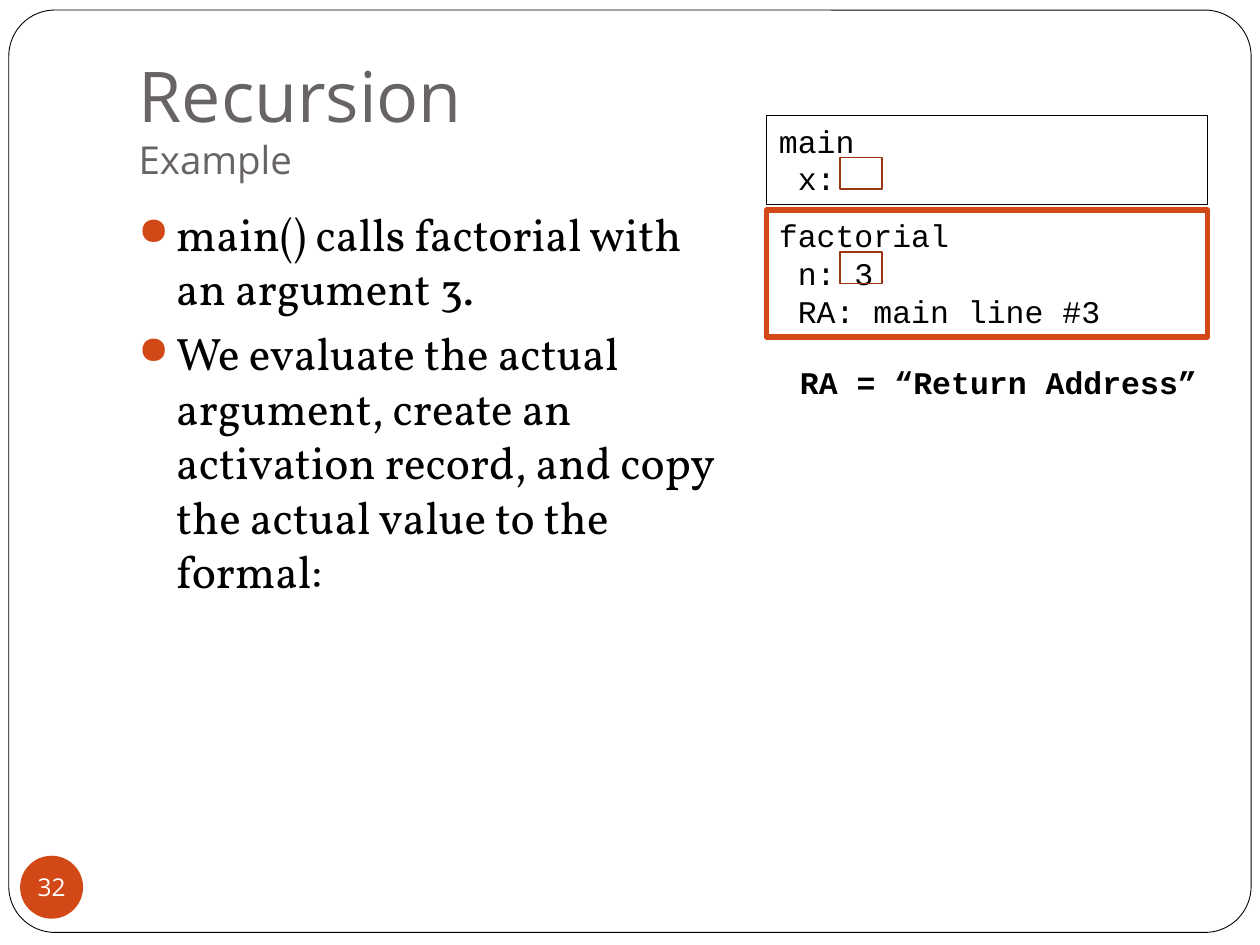
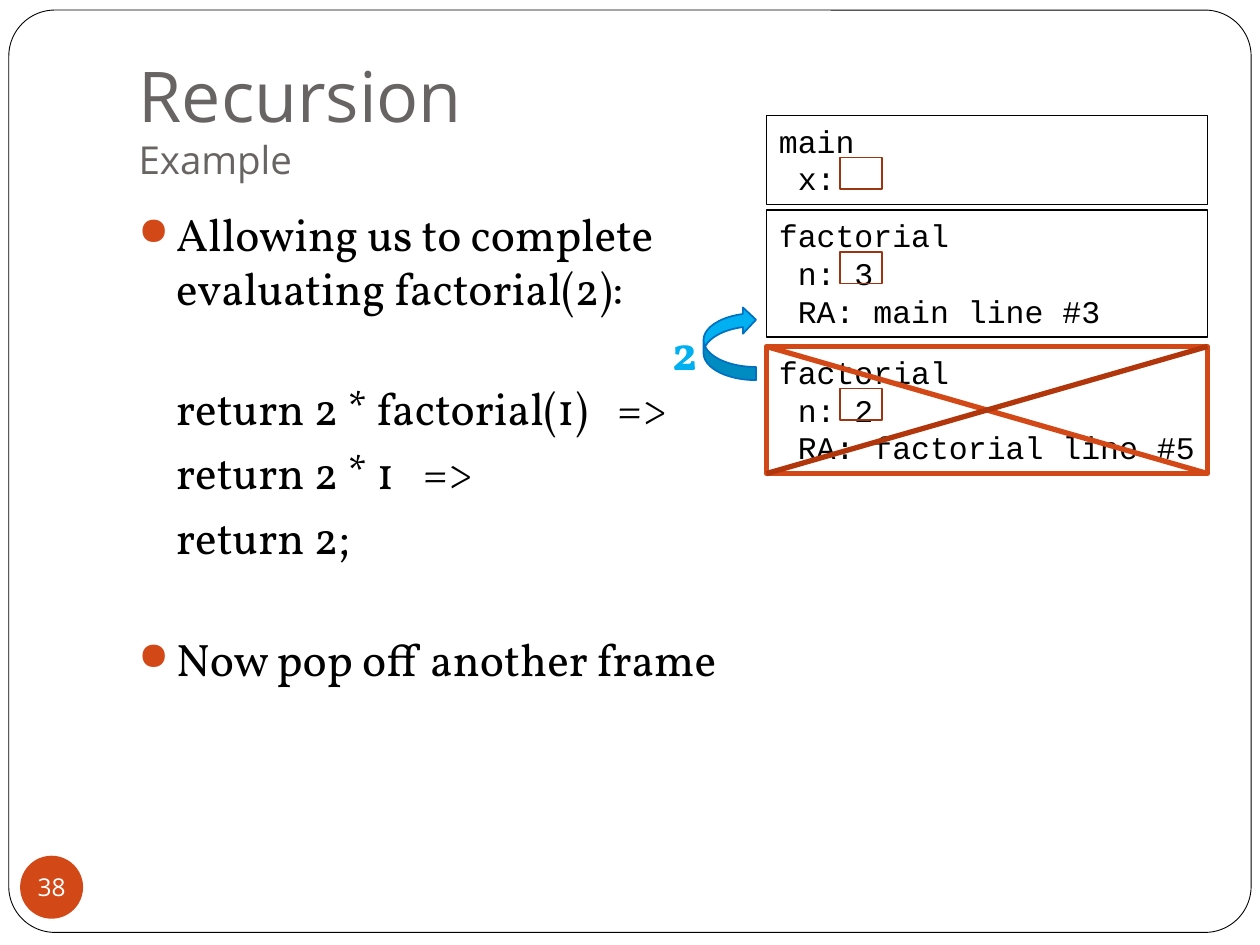
from dataclasses import dataclass
from typing import Any, Optional

from lxml.etree import SubElement
from pptx import Presentation
from pptx.dml.color import RGBColor
from pptx.enum.shapes import MSO_CONNECTOR, MSO_SHAPE
from pptx.enum.text import MSO_ANCHOR, MSO_AUTO_SIZE, PP_ALIGN
from pptx.oxml.ns import qn
from pptx.util import Inches, Pt

COLUMNS, ROWS = 120, 90  # grid over the whole slide


@dataclass(frozen=True)
class Theme:
    accent: str = "D34817"
    accent_dark: str = "9C3511"
    cross_dark: str = "B1360B"
    title_grey: str = "696464"
    black: str = "000000"
    white: str = "FFFFFF"
    value_blue: str = "00B0F0"
    arrow_edge: str = "0070C0"
    sans: str = "Open Sans"
    serif: str = "Vollkorn"
    mono: str = "Courier New"
    title_size: float = 40
    subtitle_size: float = 22
    body_size: float = 26
    value_size: float = 28
    code_size: float = 18
    number_size: float = 14
    hairline: float = 0.5
    thin: float = 0.75
    medium: float = 1
    thick: float = 3
    paragraph_gap: float = 5.8
    arrow_gap: float = 11  # extra tracking before "=>"


@dataclass(frozen=True)
class Area:
    """A rectangle in grid columns and rows."""
    column: float
    row: float
    width: float
    height: float


@dataclass(frozen=True)
class BodyLine:
    text: str
    bullet: bool = True
    gap: float = 5.8
    result_arrow: bool = False


@dataclass(frozen=True)
class Frame:
    """An activation record on the call stack."""
    row: float
    height: float
    lines: tuple[str, ...]
    active: bool = False
    popped: bool = False


THEME = Theme()
STACK_COLUMN, STACK_WIDTH = 73, 42
TITLE_AREA = Area(12, 3.6, 102, 15)
presentation = Presentation()
presentation.slide_width, presentation.slide_height = Inches(10), Inches(7.5)
column_unit = presentation.slide_width / COLUMNS
row_unit = presentation.slide_height / ROWS


# Helpers
def place(area: Area) -> tuple[int, int, int, int]:
    return (round(area.column * column_unit), round(area.row * row_unit),
            round(area.width * column_unit), round(area.height * row_unit))


def apply(target: Any, formats: dict[str, Any]) -> None:
    for name, value in formats.items():
        setattr(target, name, value)


def add_run(paragraph: Any, text: str, font: str, size: float, color: str,
            bold: bool = False) -> Any:
    run = paragraph.add_run()
    run.text = text
    apply(run.font, {"name": font, "size": Pt(size), "bold": bold})
    run.font.color.rgb = RGBColor.from_string(color)
    return run


def set_line(item: Any, color: str, width: float) -> None:
    item.line.color.rgb = RGBColor.from_string(color)
    item.line.width = Pt(width)


def add_shape(slide: Any, kind: MSO_SHAPE, area: Area, fill: Optional[str] = None,
              line: Optional[str] = None, width: float = 1) -> Any:
    shape = slide.shapes.add_shape(kind, *place(area))
    shape.shadow.inherit = False
    if fill:
        shape.fill.solid()
        shape.fill.fore_color.rgb = RGBColor.from_string(fill)
    else:
        shape.fill.background()
    if line:
        set_line(shape, line, width)
    else:
        shape.line.fill.background()
    return shape


def add_label(slide: Any, area: Area, text: str, font: str, size: float, color: str) -> None:
    frame = slide.shapes.add_textbox(*place(area)).text_frame
    apply(frame, {"word_wrap": False, "auto_size": MSO_AUTO_SIZE.SHAPE_TO_FIT_TEXT})
    add_run(frame.paragraphs[0], text, font, size, color, bold=True)


# Parts every slide shares
def start_slide(number: int) -> Any:
    slide = presentation.slides.add_slide(presentation.slide_layouts[5])
    border = add_shape(slide, MSO_SHAPE.ROUNDED_RECTANGLE, Area(0.84, 0.96, 118.32, 87.84),
                       THEME.white, THEME.black, THEME.hairline)
    border.adjustments[0] = 0.05
    border.element.getparent().insert(2, border.element)  # behind the title

    title = slide.shapes.title
    left, top, width, height = place(TITLE_AREA)
    apply(title, {"left": left, "top": top, "width": width, "height": height})
    apply(title.text_frame, {
        "vertical_anchor": MSO_ANCHOR.BOTTOM, "auto_size": MSO_AUTO_SIZE.NONE,
        "word_wrap": True, "margin_left": Inches(0.1), "margin_right": Inches(0.1),
        "margin_top": Inches(0.05), "margin_bottom": Inches(0.1)})
    paragraph = title.text_frame.paragraphs[0]
    paragraph.alignment = PP_ALIGN.LEFT
    add_run(paragraph, "Recursion", THEME.sans, THEME.title_size, THEME.title_grey)
    paragraph.add_line_break()
    add_run(paragraph, "Example", THEME.sans, THEME.subtitle_size, THEME.title_grey)

    badge = add_shape(slide, MSO_SHAPE.OVAL, Area(1.92, 81.5, 6, 6), THEME.accent)
    apply(badge.text_frame, {
        "vertical_anchor": MSO_ANCHOR.MIDDLE, "word_wrap": False, "margin_left": 0,
        "margin_right": 0, "margin_top": 0, "margin_bottom": 0})
    paragraph = badge.text_frame.paragraphs[0]
    paragraph.alignment = PP_ALIGN.CENTER
    add_run(paragraph, str(number), THEME.sans, THEME.number_size, THEME.white)
    return slide


def add_body(slide: Any, area: Area, lines: list[BodyLine]) -> None:
    frame = slide.shapes.add_textbox(*place(area)).text_frame
    frame.word_wrap = True
    for index, line in enumerate(lines):
        paragraph = frame.add_paragraph() if index else frame.paragraphs[0]
        paragraph.space_before = Pt(line.gap)
        style = (THEME.serif, THEME.body_size, THEME.black)
        add_run(paragraph, line.text, *style)
        if line.result_arrow:
            space = add_run(paragraph, " ", *style)
            space.font._element.set("spc", str(round(THEME.arrow_gap * 100)))
            add_run(paragraph, "=>", *style)
        properties = paragraph._p.get_or_add_pPr()
        properties.set("marL", str(Inches(0.3)))
        properties.set("indent", str(-Inches(0.3) if line.bullet else 0))
        if line.bullet:
            color = SubElement(properties, qn("a:buClr"))
            SubElement(color, qn("a:srgbClr"), val=THEME.accent)
            SubElement(properties, qn("a:buSzPct"), val="85000")
            SubElement(properties, qn("a:buChar"), char="●")


# Call stack
def add_cross(slide: Any, area: Area) -> None:
    left, top, width, height = place(area)
    right, bottom = left + width, top + height
    for start, end, color in ((left, right, THEME.accent), (right, left, THEME.cross_dark)):
        line = slide.shapes.add_connector(MSO_CONNECTOR.STRAIGHT, start, top, end, bottom)
        set_line(line, color, THEME.thick)
        SubElement(line.element.spPr, qn("a:effectLst"))


def add_frame(slide: Any, frame: Frame) -> None:
    area = Area(STACK_COLUMN, frame.row, STACK_WIDTH, frame.height)
    color, width = (THEME.accent, THEME.thick) if frame.active else (THEME.black, THEME.thin)
    record = add_shape(slide, MSO_SHAPE.RECTANGLE, area, line=color, width=width)
    apply(record.text_frame, {
        "vertical_anchor": MSO_ANCHOR.TOP, "word_wrap": True, "margin_right": Inches(0.05),
        "auto_size": MSO_AUTO_SIZE.SHAPE_TO_FIT_TEXT})
    for index, text in enumerate(frame.lines):
        paragraph = (record.text_frame.add_paragraph() if index
                     else record.text_frame.paragraphs[0])
        paragraph.alignment = PP_ALIGN.LEFT
        add_run(paragraph, text, THEME.mono, THEME.code_size, THEME.black)
    add_shape(slide, MSO_SHAPE.RECTANGLE, Area(STACK_COLUMN + 7, frame.row + 4, 4, 3),
              line=THEME.accent_dark, width=THEME.medium)
    if frame.popped:
        add_cross(slide, area)


def main_frame() -> Frame:
    return Frame(11, 8.5, ("main", " x:"))


def factorial_frame(row: float, argument: int, caller: str, active: bool = False,
                    popped: bool = False) -> Frame:
    lines = ("factorial", f" n: {argument}", f" RA: {caller}")
    return Frame(row, 12.1, lines, active, popped)


# Slide 32: the first call
slide = start_slide(32)
add_body(slide, Area(12, 19, 58, 60), [
    BodyLine("main() calls factorial with an argument 3."),
    BodyLine("We evaluate the actual argument, create an activation record, "
             "and copy the actual value to the formal:"),
])
for record in (main_frame(), factorial_frame(20, 3, "main line #3", active=True)):
    add_frame(slide, record)
add_label(slide, Area(75, 34, 40.4, 4.8), "RA = “Return Address”",
          THEME.mono, THEME.code_size, THEME.black)

# Slide 38: the inner call returns
slide = start_slide(38)
add_body(slide, Area(12, 19, 59, 69), [
    BodyLine("Allowing us to complete evaluating factorial(2):"),
    BodyLine("return 2 * factorial(1)", bullet=False, gap=37, result_arrow=True),
    BodyLine("return 2 * 1", bullet=False, result_arrow=True),
    BodyLine("return 2;", bullet=False),
    BodyLine("Now pop off another frame", gap=38.6),
])
for record in (main_frame(), factorial_frame(20, 3, "main line #3"),
               factorial_frame(33, 2, "factorial line #5", active=True, popped=True)):
    add_frame(slide, record)
return_arrow = add_shape(slide, MSO_SHAPE.CURVED_LEFT_ARROW, Area(67, 29.2, 5, 7),
                         THEME.value_blue, THEME.arrow_edge, THEME.medium)
return_arrow.rotation = 180
add_label(slide, Area(62.8, 30, 4.5, 6.8), "2", THEME.serif, THEME.value_size,
          THEME.value_blue)

presentation.save("out.pptx")
